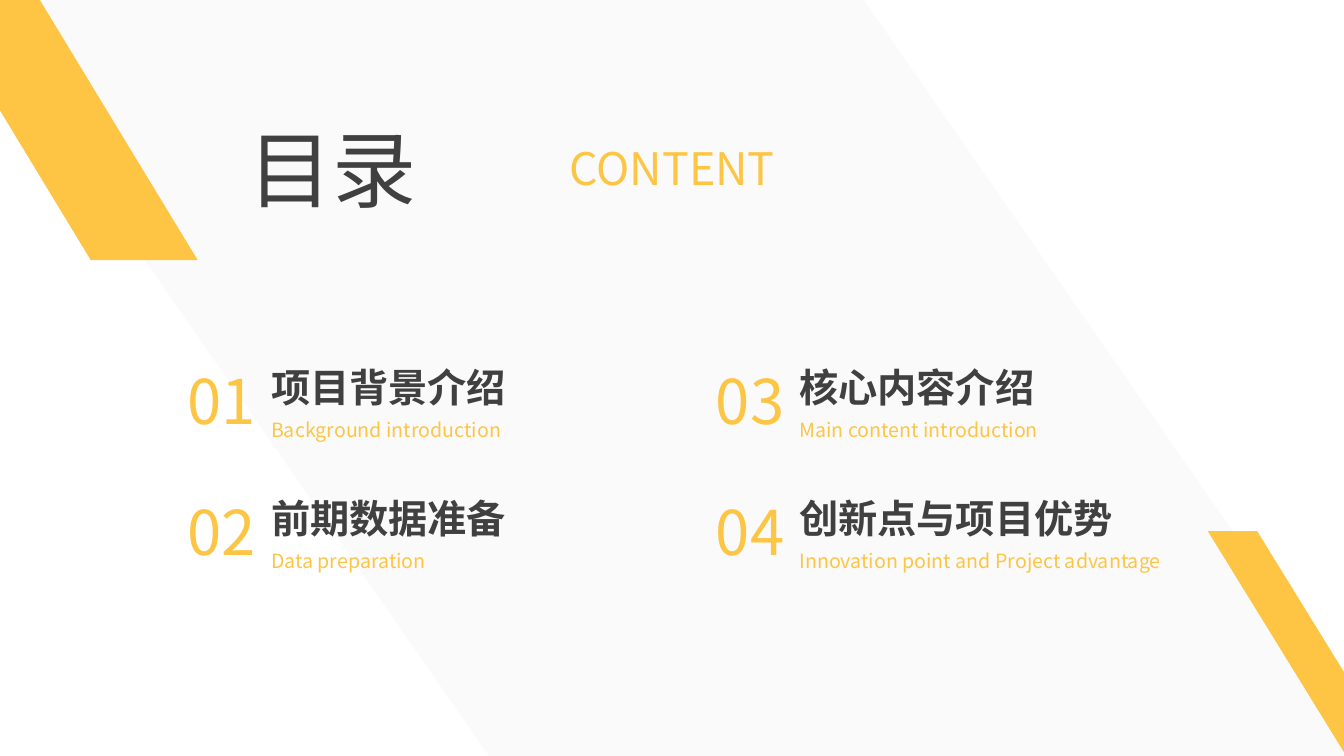
from dataclasses import dataclass

from lxml import etree
from pptx import Presentation
from pptx import util as u
from pptx.dml.color import RGBColor
from pptx.enum import shapes, text
from pptx.oxml.ns import qn


@dataclass(frozen=True)
class Theme:
    """Colours and type sizes of the deck."""
    font: str = "Noto Sans CJK SC"
    dark: str = "404040"
    yellow: str = "FDC544"
    stripe: str = "FEC545"
    band: str = "F2F2F2"
    band_alpha: int = 32
    title: int = 60
    subtitle: int = 32
    number: int = 44
    heading: int = 28
    caption: int = 14


THEME = Theme()
WIDTH, HEIGHT = u.Inches(13.33), u.Inches(7.5)
ALIGN = text.PP_ALIGN
ENTRIES = [
    ("项目背景介绍", "Background introduction"),
    ("前期数据准备", "Data preparation"),
    ("核心内容介绍", "Main content introduction"),
    ("创新点与项目优势", "Innovation point and Project advantage"),
]
ROWS = 2
GRID_LEFT, GRID_TOP = 12.9, 47.33
COLUMN_STEP, ROW_STEP = 39.31, 17.33


def place(left, top, width, height):
    """Turn percentages of the slide into lengths."""
    return (int(WIDTH * left / 100), int(HEIGHT * top / 100),
            int(WIDTH * width / 100), int(HEIGHT * height / 100))


def paint(shape, color):
    """Fill a shape with one colour, without line or shadow."""
    shape.shadow.inherit = False
    shape.line.fill.background()
    shape.fill.solid()
    shape.fill.fore_color.rgb = RGBColor.from_string(color)


def add_band(page, points):
    """Draw the translucent diagonal band through percentage points."""
    corners = [place(*point, 0, 0)[:2] for point in points]
    builder = page.shapes.build_freeform(*corners[0])
    builder.add_line_segments(corners[1:], close=True)
    band = builder.convert_to_shape()
    paint(band, THEME.band)
    color = band.fill._xPr.find(f".//{qn('a:srgbClr')}")
    etree.SubElement(color, qn("a:alpha"), val=str(THEME.band_alpha * 1000))


def add_stripe(page, area, slant):
    """Draw a yellow stripe that leans to the left."""
    stripe = page.shapes.add_shape(shapes.MSO_SHAPE.PARALLELOGRAM, *place(*area))
    stripe.adjustments[0] = slant
    stripe._element.spPr.find(qn("a:xfrm")).set("flipV", "1")
    paint(stripe, THEME.stripe)


def add_label(parent, words, area, size, color, align=ALIGN.LEFT, bold=False):
    """Write one paragraph of text in a wrapping box."""
    box = parent.shapes.add_textbox(*place(*area))
    box.text_frame.word_wrap = True
    para = box.text_frame.paragraphs[0]
    para.text = words
    para.alignment = align
    para.font.name = THEME.font
    para.font.size = u.Pt(size)
    para.font.bold = bold
    para.font.color.rgb = RGBColor.from_string(color)
    defaults = para._p.pPr.find(qn("a:defRPr"))
    etree.SubElement(defaults, qn("a:ea"), typeface=THEME.font)


def add_entry(page, index, heading, caption):
    """Add a numbered contents entry at its grid cell."""
    column, row = divmod(index, ROWS)
    left = GRID_LEFT + column * COLUMN_STEP
    top = GRID_TOP + row * ROW_STEP
    group = page.shapes.add_group_shape()
    add_label(group, f"{index + 1:02d}", (left, top, 7.2, 11.2),
              THEME.number, THEME.yellow, ALIGN.CENTER)
    add_label(group, heading, (left + 6.53, top + 0.13, 25.5, 7.6),
              THEME.heading, THEME.dark, bold=True)
    add_label(group, caption, (left + 6.53, top + 7.3, 37.1, 4.53),
              THEME.caption, THEME.yellow)


def main():
    """Build and save the contents slide."""
    deck = Presentation()
    deck.slide_width, deck.slide_height = WIDTH, HEIGHT
    page = deck.slides.add_slide(deck.slide_layouts[6])
    add_band(page, [(0, 0), (64.28, 0), (100, 91.47),
                    (100, 100), (36.38, 100), (0, 6.8)])
    add_stripe(page, (-10.95, -17.47, 25.65, 51.87), 0.69)
    add_stripe(page, (89.87, 70.27, 20.4, 48.27), 0.82)
    add_label(page, "目录", (17.78, 14.93, 20.7, 14.8),
              THEME.title, THEME.dark, ALIGN.JUSTIFY)
    add_label(page, "CONTENT", (41.63, 18, 44.56, 8.53),
              THEME.subtitle, THEME.yellow, ALIGN.JUSTIFY)
    for index, (heading, caption) in enumerate(ENTRIES):
        add_entry(page, index, heading, caption)
    deck.save("out.pptx")


if __name__ == "__main__":
    main()
